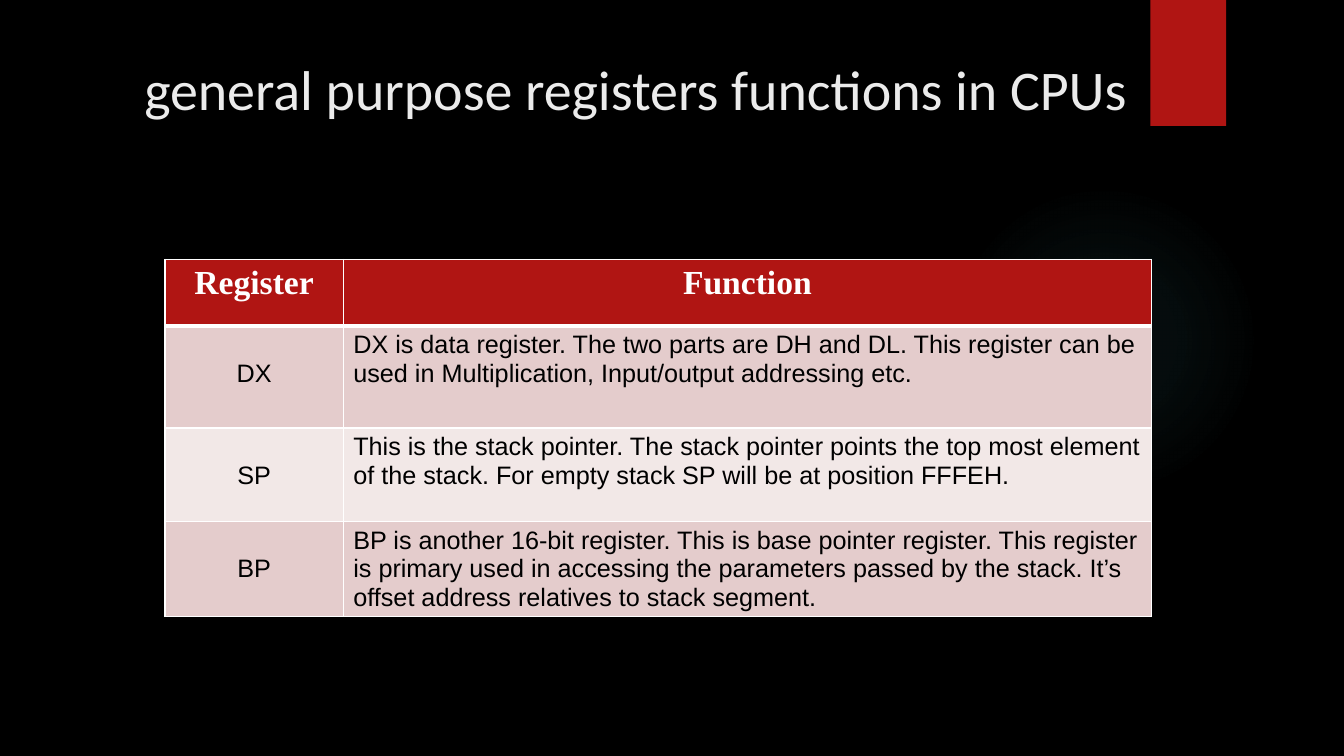
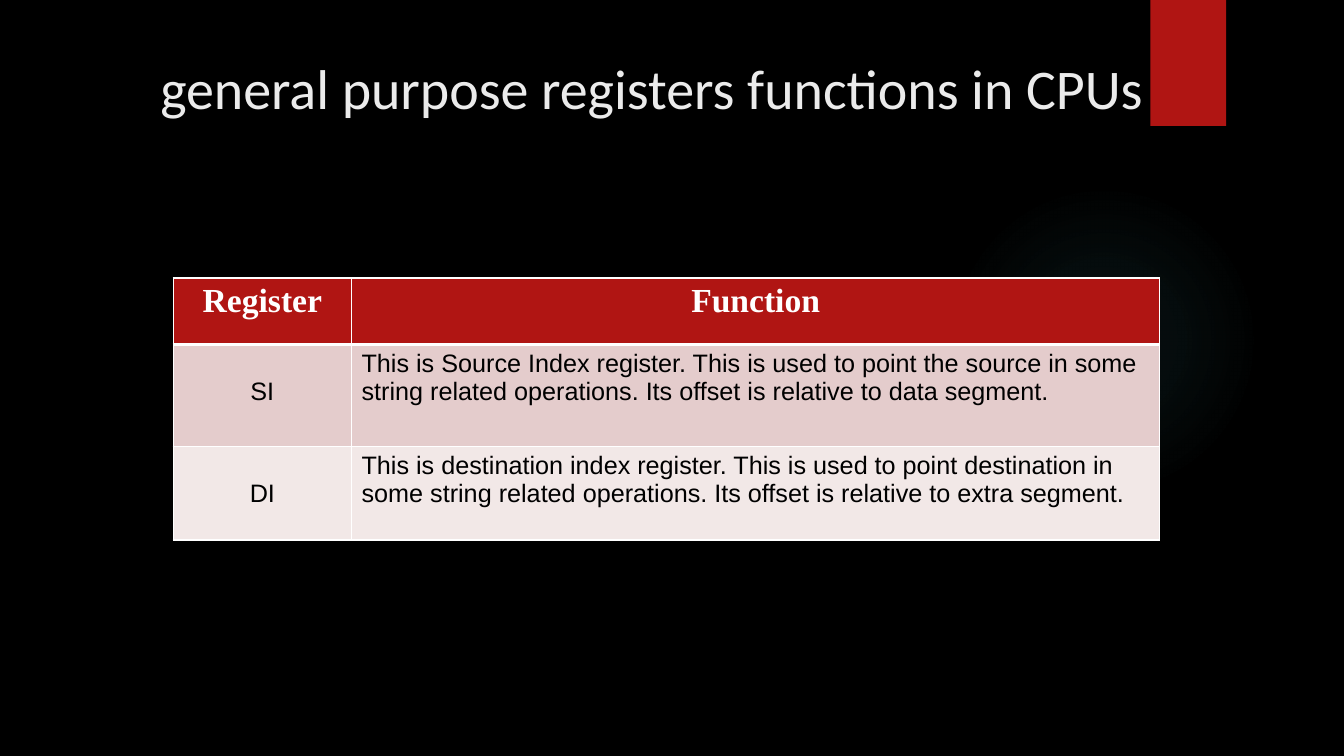
from dataclasses import dataclass
from typing import NamedTuple

from pptx import Presentation
from pptx import oxml as ox
from pptx import util as u
from pptx.dml import color as dc
from pptx.enum import shapes as es, text as et
from pptx.oxml import ns

Pt = u.Pt


@dataclass(frozen=True)
class Theme:
    back: str = "000000"
    red: str = "B01513"
    glow: str = "50B9C1"
    title: str = "EBEBEB"
    white: str = "FFFFFF"
    ink: str = "000000"
    bands: tuple[str, str] = ("E4CCCC", "F2E8E7")
    big: float = 40
    head: float = 24
    body: float = 18
    sans: str = "Calibri"
    serif: str = "Times New Roman"
    plain: str = "Arial"


class Font(NamedTuple):
    name: str
    size: float
    hue: str
    bold: bool = False


class Page(NamedTuple):
    title: tuple[float, float]
    table: tuple[float, float]
    rows: list[tuple[str, str]]


T = Theme()
TITLE = Font(T.sans, T.big, T.title)
HEAD = Font(T.serif, T.head, T.white, True)
BODY = Font(T.plain, T.body, T.ink)

WIDE, TALL = 960, 540
TITLE_BOX = (741, 110)
COLS = (127.4, 577.4)
ROWS = (47.5, 72.8, 67, 67)
DROP = 23.8
THIN, THICK = 1, 3
STOPS = ((0, 7), (36, 6), (69, 0))

PAGES = [
    Page((83.5, 35.6), (117.8, 185.4), [
        ("DX", "DX is data register. The two parts are DH and DL. This register can be "
               "used in Multiplication, Input/output addressing etc."),
        ("SP", "This is the stack pointer. The stack pointer points the top most element "
               "of the stack. For empty stack SP will be at position FFFEH."),
        ("BP", "BP is another 16-bit register. This is base pointer register. This register "
               "is primary used in accessing the parameters passed by the stack. It’s "
               "offset address relatives to stack segment."),
    ]),
    Page((95, 34.6), (123.7, 198.5), [
        ("SI", "This is Source Index register. This is used to point the source in some "
               "string related operations. Its offset is relative to data segment."),
        ("DI", "This is destination index register. This is used to point destination in "
               "some string related operations. Its offset is relative to extra segment."),
    ]),
]


def rgb(hue: str) -> dc.RGBColor:
    return dc.RGBColor.from_string(hue)


def write(frame, words: str, font: Font, mid: bool) -> None:
    frame.text = words
    para = frame.paragraphs[0]
    para.alignment = et.PP_ALIGN.CENTER if mid else et.PP_ALIGN.LEFT
    for run in para.runs:
        run.font.name = font.name
        run.font.size = Pt(font.size)
        run.font.bold = font.bold
        run.font.color.rgb = rgb(font.hue)


def shape(slide, kind, box: tuple[float, ...]):
    item = slide.shapes.add_shape(kind, *map(Pt, box))
    item.shadow.inherit = False
    item.line.fill.background()
    return item


def decor(slide) -> None:
    glow = shape(slide, es.MSO_SHAPE.OVAL, (677.5, 131.8, 221.8, 221.8))
    glow.fill.background()
    stops = "".join(
        f'<a:gs pos="{pos * 1000}"><a:srgbClr val="{T.glow}">'
        f'<a:alpha val="{part * 1000}"/></a:srgbClr></a:gs>'
        for pos, part in STOPS)
    grad = ox.parse_xml(
        f'<a:gradFill {ns.nsdecls("a")}><a:gsLst>{stops}</a:gsLst><a:path path="circle">'
        '<a:fillToRect l="50000" t="50000" r="50000" b="50000"/></a:path></a:gradFill>')
    props = glow.element.spPr
    props.replace(props.find(ns.qn("a:noFill")), grad)

    band = shape(slide, es.MSO_SHAPE.RECTANGLE, (821.8, 0, 54, 90))
    band.fill.solid()
    band.fill.fore_color.rgb = rgb(T.red)


def head(slide, spot: tuple[float, float]) -> None:
    title = slide.shapes.title
    title.left, title.top = map(Pt, spot)
    title.width, title.height = map(Pt, TITLE_BOX)
    frame = title.text_frame
    frame.word_wrap = True
    frame.auto_size = et.MSO_AUTO_SIZE.NONE
    frame.vertical_anchor = et.MSO_ANCHOR.TOP
    write(frame, "general purpose registers functions in CPUs", TITLE, True)


def edge(cell, row: int) -> None:
    props = cell._tc.get_or_add_tcPr()
    for side in "LRTB":
        thick = (row, side) in ((0, "B"), (1, "T"))
        props.append(ox.parse_xml(
            f'<a:ln{side} {ns.nsdecls("a")} w="{Pt(THICK if thick else THIN)}"><a:solidFill>'
            f'<a:srgbClr val="{T.white}"/></a:solidFill></a:ln{side}>'))


def grid(slide, page: Page) -> None:
    data = [("Register", "Function"), *page.rows]
    tall = ROWS[:len(data)]
    box = (*page.table, sum(COLS), sum(tall))
    table = slide.shapes.add_table(len(data), len(COLS), *map(Pt, box)).table
    for col, wide in zip(table.columns, COLS):
        col.width = Pt(wide)
    for r, (line, high) in enumerate(zip(data, tall)):
        table.rows[r].height = Pt(high)
        for c, words in enumerate(line):
            cell = table.cell(r, c)
            edge(cell, r)
            cell.fill.solid()
            cell.fill.fore_color.rgb = rgb(T.bands[(r - 1) % 2] if r else T.red)
            if r and c == 0:
                cell.margin_top = Pt(DROP)
            write(cell.text_frame, words, BODY if r else HEAD, r == 0 or c == 0)


def main() -> None:
    deck = Presentation()
    deck.slide_width, deck.slide_height = Pt(WIDE), Pt(TALL)
    back = deck.slide_master.background.fill
    back.solid()
    back.fore_color.rgb = rgb(T.back)
    for page in PAGES:
        slide = deck.slides.add_slide(deck.slide_layouts[5])
        decor(slide)
        head(slide, page.title)
        grid(slide, page)
    deck.save("out.pptx")


if __name__ == "__main__":
    main()
